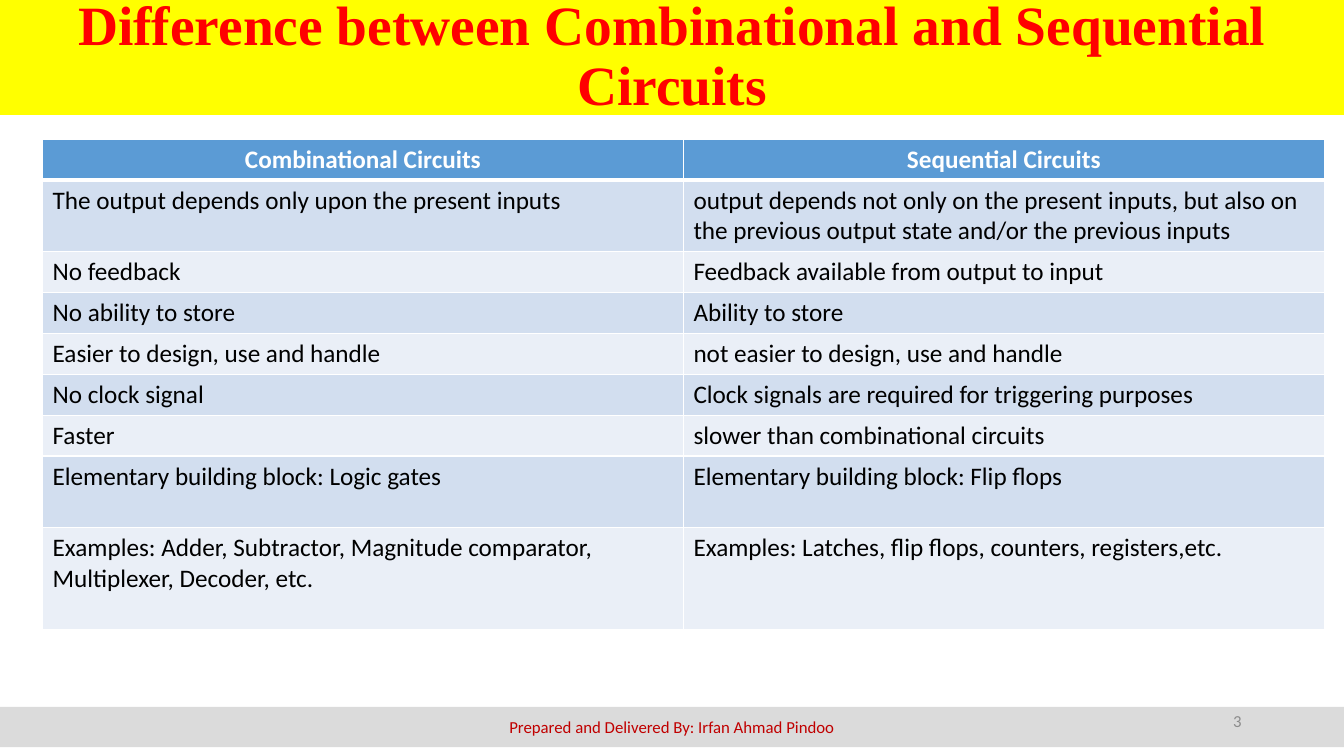
from dataclasses import dataclass

from lxml.etree import SubElement
from pptx import Presentation
from pptx.dml.color import RGBColor
from pptx.enum.shapes import MSO_SHAPE
from pptx.enum.text import MSO_ANCHOR, PP_ALIGN
from pptx.oxml.ns import qn
from pptx.util import Pt


@dataclass(frozen=True)
class Theme:
    # Colours
    title_fill: str = "FFFF00"
    title_text: str = "FF0000"
    header_fill: str = "5B9BD5"
    header_text: str = "FFFFFF"
    bands: tuple = ("D2DEEF", "EAEFF7")
    body_text: str = "000000"
    border: str = "FFFFFF"
    footer_fill: str = "DBDBDB"
    footer_text: str = "C00000"
    number_text: str = "8C8C8C"
    # Fonts and sizes
    title_font: str = "Times New Roman"
    body_font: str = "Calibri"
    title_size: float = 39.6
    body_size: float = 18
    small_size: float = 12


ROWS = [
    ("Combinational Circuits", "Sequential Circuits"),
    ("The output depends only upon the present inputs",
     "output depends not only on the present inputs, but also on the "
     "previous output state and/or the previous inputs"),
    ("No feedback", "Feedback available from output to input"),
    ("No ability to store", "Ability to store"),
    ("Easier to design, use and handle", "not easier to design, use and handle"),
    ("No clock signal", "Clock signals are required for triggering purposes"),
    ("Faster", "slower than combinational circuits"),
    ("Elementary building block: Logic gates",
     "Elementary building block: Flip flops"),
    ("Examples: Adder, Subtractor, Magnitude comparator, Multiplexer, "
     "Decoder, etc.",
     "Examples: Latches, flip flops, counters, registers,etc."),
]
ROW_LINES = [1, 2, 1, 1, 1, 1, 1, 2, 3]
LINE_HEIGHT = 21.97
CELL_PADDING = 7.2


def write(tf, text, *, font, size, color, bold=False, align=PP_ALIGN.LEFT,
          spacing=None):
    p = tf.paragraphs[0]
    p.alignment = align
    if spacing:
        p.line_spacing = spacing
    r = p.add_run()
    r.text = text
    r.font.name = font
    r.font.size = Pt(size)
    r.font.bold = bold
    r.font.color.rgb = RGBColor.from_string(color)


class SlideBuilder:
    def __init__(self, slide, theme):
        self.slide = slide
        self.theme = theme

    def bar(self, box, fill, text, **fmt):
        sp = self.slide.shapes.add_shape(MSO_SHAPE.RECTANGLE, *map(Pt, box))
        sp.shadow.inherit = False
        sp.fill.solid()
        sp.fill.fore_color.rgb = RGBColor.from_string(fill)
        sp.line.fill.background()
        self.fill_frame(sp.text_frame, text, **fmt)

    def label(self, box, text, **fmt):
        sp = self.slide.shapes.add_textbox(*map(Pt, box))
        self.fill_frame(sp.text_frame, text, **fmt)

    def fill_frame(self, tf, text, **fmt):
        tf.word_wrap = True
        tf.vertical_anchor = MSO_ANCHOR.MIDDLE
        write(tf, text, **fmt)

    def borders(self, cell, bottom):
        tc_pr = cell._tc.get_or_add_tcPr()
        widths = {"a:lnL": 1, "a:lnR": 1, "a:lnT": 1, "a:lnB": bottom}
        for tag, width in widths.items():
            ln = SubElement(tc_pr, qn(tag), w=str(Pt(width)))
            fill = SubElement(ln, qn("a:solidFill"))
            SubElement(fill, qn("a:srgbClr"), val=self.theme.border)

    def table(self, left, top, width, rows, heights):
        t = self.theme
        table = self.slide.shapes.add_table(
            len(rows), len(rows[0]), Pt(left), Pt(top), Pt(width),
            Pt(sum(heights))).table
        for column in table.columns:
            column.width = Pt(width / len(rows[0]))
        for i, (texts, height) in enumerate(zip(rows, heights)):
            table.rows[i].height = Pt(height)
            header = i == 0
            fill = t.header_fill if header else t.bands[(i - 1) % 2]
            for j, text in enumerate(texts):
                cell = table.cell(i, j)
                self.borders(cell, bottom=3 if header else 1)
                cell.fill.solid()
                cell.fill.fore_color.rgb = RGBColor.from_string(fill)
                write(cell.text_frame, text, font=t.body_font,
                      size=t.body_size, bold=header,
                      color=t.header_text if header else t.body_text,
                      align=PP_ALIGN.CENTER if header else PP_ALIGN.LEFT)


def main():
    prs = Presentation()
    prs.slide_width, prs.slide_height = Pt(960), Pt(540)
    t = Theme()
    s = SlideBuilder(prs.slides.add_slide(prs.slide_layouts[6]), t)

    # Title band
    s.bar((0, 0, 960, 82), t.title_fill,
          "Difference between Combinational and Sequential Circuits",
          font=t.title_font, size=t.title_size, color=t.title_text,
          bold=True, align=PP_ALIGN.CENTER, spacing=0.9)

    # Comparison table
    heights = [n * LINE_HEIGHT + CELL_PADDING for n in ROW_LINES]
    s.table(30.4, 99.4, 915.6, ROWS, heights)

    # Footer band and slide number
    s.bar((0, 505, 960, 28.8), t.footer_fill,
          "Prepared and Delivered By: Irfan Ahmad Pindoo",
          font=t.body_font, size=t.small_size, color=t.footer_text,
          align=PP_ALIGN.CENTER)
    s.label((678, 500.6, 216, 28.8), "3", font=t.body_font,
            size=t.small_size, color=t.number_text, align=PP_ALIGN.RIGHT)

    prs.save("out.pptx")


if __name__ == "__main__":
    main()
